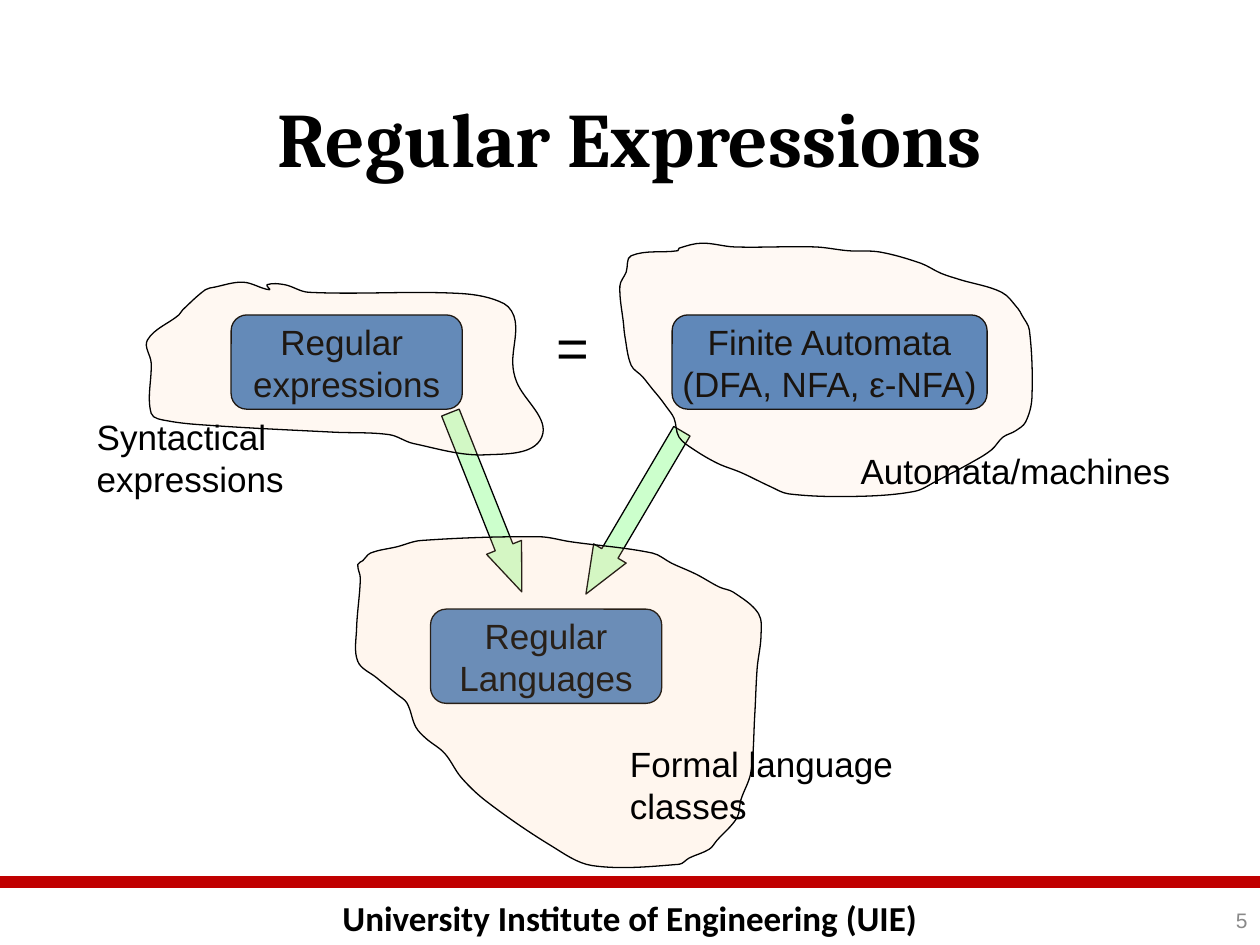
from math import dist

from lxml import etree
from pptx import Presentation
from pptx.dml.color import RGBColor
from pptx.enum.shapes import MSO_CONNECTOR, MSO_SHAPE
from pptx.enum.text import MSO_ANCHOR, MSO_AUTO_SIZE, PP_ALIGN
from pptx.oxml.ns import qn
from pptx.util import Cm, Pt

ROUNDED, DOWN_ARROW = MSO_SHAPE.ROUNDED_RECTANGLE, MSO_SHAPE.DOWN_ARROW
STRAIGHT = MSO_CONNECTOR.STRAIGHT
TOP, MIDDLE = MSO_ANCHOR.TOP, MSO_ANCHOR.MIDDLE
LEFT, CENTER, RIGHT = PP_ALIGN.LEFT, PP_ALIGN.CENTER, PP_ALIGN.RIGHT
NO_FIT = MSO_AUTO_SIZE.NONE

THEME = {
    "ink": "000000", "box": "4F81BD", "arrow": "CCFFCC", "cloud": "FFCC99",
    "rule": "C00000", "muted": "898989",
    "title": ("Cambria", 44), "body": ("Arial", 20), "equals": ("Arial", 32),
    "footer": ("Calibri", 20), "number": ("Arial", 12),
    "outline": 0.75, "rule_width": 7,
}

SLIDE_W, SLIDE_H = 25.4, 19.05
RULE_Y = 17.78
TITLE = ("Regular Expressions", (1.91, 1.7, 21.59, 3.18))
FOOTER = ("University Institute of Engineering (UIE)", (0, 17.94, SLIDE_W, 1.11))
NUMBER = ("5", (19.48, 18.03, 5.92, 1.02))
EQUALS = ("=", (10.97, 6.18, 1.17, 1.63))

BOX_H = 1.9
BOXES = [
    ("Regular \vexpressions", 4.66, 6.35, 4.66),
    ("Finite Automata\v(DFA, NFA, ε-NFA)", 13.55, 6.35, 6.35),
    ("Regular\vLanguages", 8.68, 12.28, 4.66),
]
ARROW_W = 0.76
ARROWS = [(9.42, 8.18, 3.89, 338.3, 1.27), (12.4, 8.43, 3.81, 30.5, 1.25)]
LABELS = [
    ("Automata/machines", (17.1, 8.93, 6.76, 1.12)),
    ("Syntactical \vexpressions", (1.7, 8.26, 4.3, 1.96)),
    ("Formal language \vclasses", (12.45, 14.85, 6, 1.96)),
]

OUTLINE_UNIT = Cm(0.0254)
FINENESS = 10
CLOUDS = [
    (16, [(286, 459), (283, 499), (284, 525), (299, 538), (315, 551), (323, 558),
          (330, 577), (338, 586), (353, 598), (366, 617), (386, 636), (437, 671),
          (470, 687), (539, 686), (547, 681), (563, 674), (569, 667), (585, 649),
          (588, 635), (596, 613), (599, 568), (601, 530), (604, 505), (602, 487),
          (582, 470), (571, 466), (553, 456), (533, 447), (518, 439), (453, 430),
          (428, 426), (334, 429), (315, 434), (294, 439), (288, 445), (284, 448)]),
    (10, [(538, 199), (501, 203), (497, 216), (492, 227), (495, 258), (496, 267),
          (501, 290), (510, 299), (518, 309), (523, 315), (529, 323), (535, 332),
          (539, 347), (551, 357), (570, 368), (588, 375), (611, 386), (626, 392),
          (679, 394), (726, 390), (743, 382), (773, 366), (787, 357), (796, 347),
          (806, 342), (814, 335), (819, 316), (817, 262), (811, 250), (808, 245),
          (795, 232), (762, 222), (747, 217), (731, 209), (698, 200), (673, 199),
          (647, 196), (583, 196), (557, 193), (539, 197)]),
    (12, [(214, 230), (193, 224), (170, 228), (163, 230), (145, 246), (142, 250),
          (117, 270), (120, 288), (120, 328), (133, 334), (172, 338), (264, 343),
          (309, 345), (328, 352), (385, 361), (430, 347), (410, 303), (407, 288),
          (409, 255), (400, 241), (366, 233), (245, 232), (226, 226), (212, 226)]),
]


def rgb(name):
    return RGBColor.from_string(THEME[name])


def lengths(box):
    return [Cm(value) for value in box]


def write(frame, text, style, align=LEFT, anchor=TOP, color="ink",
          bold=False, wrap=True):
    frame.text = text
    frame.word_wrap, frame.auto_size, frame.vertical_anchor = wrap, NO_FIT, anchor
    font_name, size = THEME[style]
    for paragraph in frame.paragraphs:
        paragraph.alignment = align
        paragraph.font.size = Pt(size)
        for run in paragraph.runs:
            run.font.name, run.font.size, run.font.bold = font_name, Pt(size), bold
            run.font.color.rgb = rgb(color)


def add_label(slide, text, box, style, **options):
    write(slide.shapes.add_textbox(*lengths(box)).text_frame, text, style, **options)


def paint(shape, color):
    shape.shadow.inherit = False
    shape.fill.solid()
    shape.fill.fore_color.rgb = rgb(color)
    shape.line.color.rgb = rgb("ink")
    shape.line.width = Pt(THEME["outline"])


def handle(before, knot, after, reach):
    span = dist(before, after) or 1
    return [k + (a - b) / span * reach for b, k, a in zip(before, knot, after)]


def curve_edges(cloud, knots):
    left, top = (min(axis) for axis in zip(*knots))
    count = len(knots)
    edges = list(cloud._element.iter(qn("a:lnTo")))
    for i, edge in enumerate(edges):
        a, b, c, d = (knots[(i + step) % count] for step in (-1, 0, 1, 2))
        reach = dist(b, c) / 3
        edge.tag = qn("a:cubicBezTo")
        for place, (x, y) in enumerate((handle(a, b, c, reach), handle(d, c, b, reach))):
            point = etree.Element(qn("a:pt"), x=str(round(x - left)), y=str(round(y - top)))
            edge.insert(place, point)


def add_cloud(slide, opacity, outline):
    knots = [(x * FINENESS, y * FINENESS) for x, y in outline]
    builder = slide.shapes.build_freeform(*knots[0], scale=OUTLINE_UNIT / FINENESS)
    builder.add_line_segments(knots[1:] + knots[:1], close=True)
    cloud = builder.convert_to_shape()
    curve_edges(cloud, knots)
    paint(cloud, "cloud")
    tint = cloud._element.spPr.find(qn("a:solidFill"))[0]
    etree.SubElement(tint, qn("a:alpha")).set("val", str(opacity * 1000))


def add_rule(slide):
    rule = slide.shapes.add_connector(STRAIGHT, 0, Cm(RULE_Y), Cm(SLIDE_W), Cm(RULE_Y))
    rule.line.color.rgb = rgb("rule")
    rule.line.width = Pt(THEME["rule_width"])
    etree.SubElement(rule._element.spPr, qn("a:effectLst"))


def main():
    deck = Presentation()
    deck.slide_width, deck.slide_height = Cm(SLIDE_W), Cm(SLIDE_H)
    slide = deck.slides.add_slide(deck.slide_layouts[5])

    title = slide.shapes.title
    title_text, title_box = TITLE
    title.left, title.top, title.width, title.height = lengths(title_box)
    write(title.text_frame, title_text, "title", align=CENTER, bold=True)

    add_label(slide, *FOOTER, "footer", align=CENTER, bold=True)
    add_rule(slide)
    add_label(slide, *NUMBER, "number", align=RIGHT, anchor=MIDDLE, color="muted")

    for text, left, top, width in BOXES:
        box = slide.shapes.add_shape(ROUNDED, *lengths((left, top, width, BOX_H)))
        paint(box, "box")
        write(box.text_frame, text, "body", align=CENTER, anchor=MIDDLE, wrap=False)

    for left, top, height, angle, head in ARROWS:
        arrow = slide.shapes.add_shape(DOWN_ARROW, *lengths((left, top, ARROW_W, height)))
        paint(arrow, "arrow")
        arrow.rotation = angle
        arrow.adjustments[1] = head

    add_label(slide, *EQUALS, "equals", wrap=False)
    for opacity, outline in CLOUDS:
        add_cloud(slide, opacity, outline)
    for text, box in LABELS:
        add_label(slide, text, box, "body", wrap=False)

    deck.save("out.pptx")


if __name__ == "__main__":
    main()
